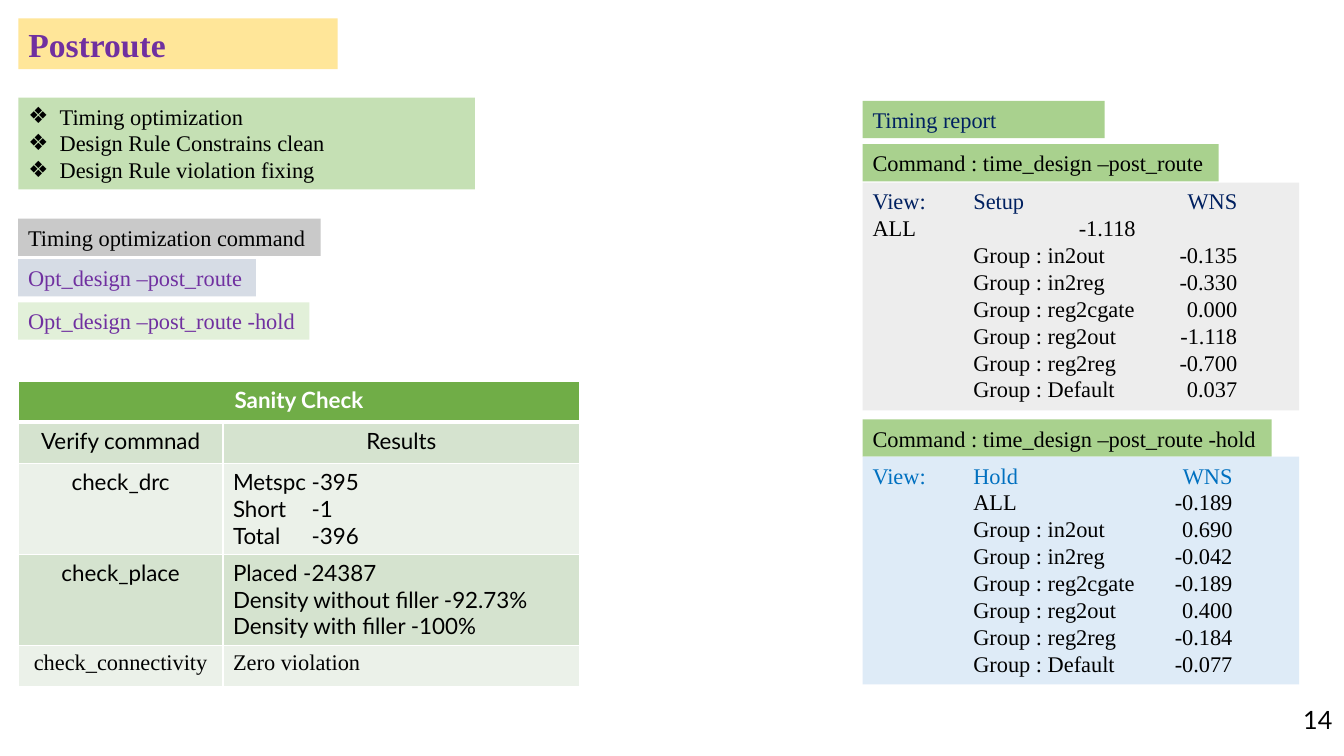
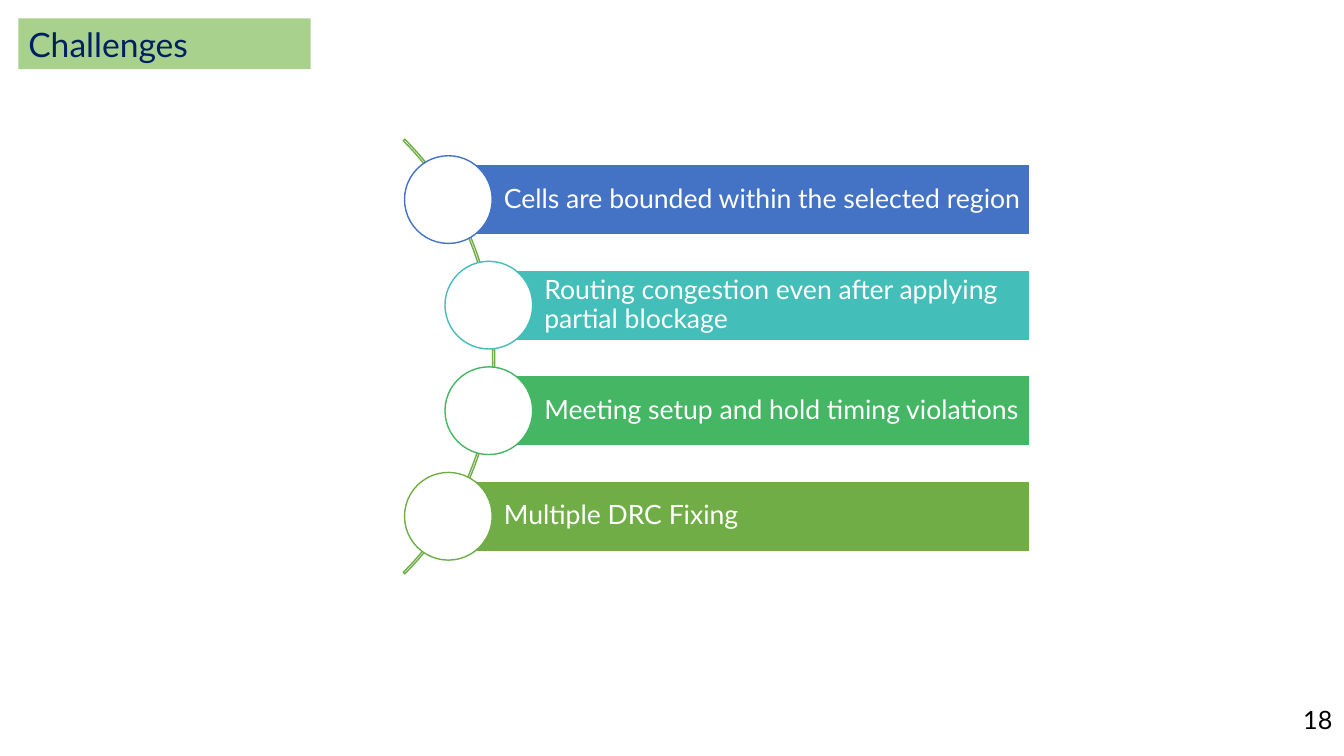
from lxml.etree import SubElement
from pptx import Presentation
from pptx.dml.color import RGBColor
from pptx.enum.shapes import MSO_SHAPE as Shape
from pptx.enum.text import MSO_ANCHOR as Anchor, MSO_AUTO_SIZE as AutoSize, PP_ALIGN as Align
from pptx.oxml.ns import qn
from pptx.util import Cm, Pt

SERIF, SANS = "Times New Roman", "Lato"
TITLE_LAYOUT, LIST_LAYOUT = 5, 1
LEFT, RIGHT = 0.46, 21.74
LABEL_HEIGHT = 0.94
COLOURS = {
    "black": "000000", "white": "FFFFFF", "navy": "002060", "purple": "7030A0",
    "sky": "0070C0", "yellow": "FFE699", "label": "A9D18E", "list": "C5E0B4",
    "grey": "C9C9C9", "slate": "D6DCE5", "mint": "E2F0D9", "setup": "EDEDED",
    "hold": "DEEBF7", "green": "70AD47", "band": "D5E3CF", "pale": "EBF1E9",
    "blue": "4472C4", "teal": "43BEB9", "emerald": "45B664",
}


def rgb(name):
    return RGBColor.from_string(COLOURS[name])


def paint(shape, fill=None, line=None):
    if fill:
        shape.fill.solid()
        shape.fill.fore_color.rgb = rgb(fill)
    else:
        shape.fill.background()
    if line:
        shape.line.color.rgb = rgb(line)
        shape.line.width = Pt(1)
    else:
        shape.line.fill.background()


def style(para, size=16, colour="black", font=SERIF, bold=False,
          align=Align.LEFT, bullet=None, tabs=()):
    props = para._p.get_or_add_pPr()
    if bullet:
        props.set("marL", str(Cm(0.79)))
        props.set("indent", str(-Cm(0.79)))
        SubElement(props, qn("a:buFont"), typeface="Arial")
        SubElement(props, qn("a:buChar"), char=bullet)
    if tabs:
        stops = SubElement(props, qn("a:tabLst"))
        for position, side in tabs:
            SubElement(stops, qn("a:tab"), pos=str(Cm(position)), algn=side)
    para.alignment = align
    para.space_before = Pt(0)
    para.font.size = Pt(size)
    para.font.name = font
    para.font.bold = bold
    para.font.color.rgb = rgb(colour)


def write(frame, text, anchor=Anchor.TOP, right=0, **look):
    frame.word_wrap = True
    frame.auto_size = AutoSize.NONE
    frame.vertical_anchor = anchor
    frame.margin_right = Cm(right)
    frame.text = text
    for para in frame.paragraphs:
        style(para, **look)


class Deck:
    def __init__(self):
        self.deck = Presentation()
        self.deck.slide_width, self.deck.slide_height = Cm(33.87), Cm(19.05)
        self.page = None

    def add_page(self, layout, number, title, width, fill, **look):
        self.page = self.deck.slides.add_slide(self.deck.slide_layouts[layout])
        self.place(self.page.shapes.title, title, LEFT, 0.46, width, 1.28, fill,
                   size=24, anchor=Anchor.MIDDLE, **look)
        box = self.page.shapes.add_textbox(Cm(32.56), Cm(17.63), Cm(1.27), Cm(1.02))
        write(box.text_frame, str(number), right=0.25, size=18, font=SANS,
              align=Align.RIGHT)

    def place(self, holder, text, left, top, width, height, fill, **look):
        holder.left, holder.top = Cm(left), Cm(top)
        holder.width, holder.height = Cm(width), Cm(height)
        paint(holder, fill)
        write(holder.text_frame, text, **look)

    def shape(self, kind, left, top, width, height, fill=None, line=None):
        shape = self.page.shapes.add_shape(kind, Cm(left), Cm(top), Cm(width), Cm(height))
        shape.shadow.inherit = False
        paint(shape, fill, line)
        return shape

    def label(self, text, left, top, width, fill, colour="black"):
        box = self.shape(Shape.RECTANGLE, left, top, width, LABEL_HEIGHT, fill)
        write(box.text_frame, text, anchor=Anchor.MIDDLE, colour=colour)

    def bullets(self, lines, left, top, width, height, fill):
        self.place(self.page.placeholders[1], "\n".join(lines), left, top, width,
                   height, fill, bullet="❖")

    def report(self, rows, top, fill, heading, value_stop, total_stop=6.63):
        box = self.shape(Shape.RECTANGLE, RIGHT, top, 11, 5.74, fill)
        frame = box.text_frame
        write(frame, "\n".join("\t".join(row) for row in rows))
        for row, para in zip(rows, frame.paragraphs):
            full = len(row) == 3
            tabs = [(2.54, "l"), (value_stop, "r")] if full else [(total_stop, "r")]
            style(para, tabs=tabs, colour=heading if row is rows[0] else "black")

    def borders(self, cell, row):
        props = cell._tc.get_or_add_tcPr()
        heavy = {0: "lnB", 1: "lnT"}.get(row)
        for edge in ("lnL", "lnR", "lnT", "lnB"):
            line = SubElement(props, qn("a:" + edge), w=str(Pt(3 if edge == heavy else 1)))
            solid = SubElement(line, qn("a:solidFill"))
            SubElement(solid, qn("a:srgbClr"), val=COLOURS["white"])

    def table(self, rows, left, top, widths, heights):
        frame = self.page.shapes.add_table(len(rows), len(widths), Cm(left), Cm(top),
                                           Cm(sum(widths)), Cm(sum(heights)))
        table = frame.table
        for column, width in zip(table.columns, widths):
            column.width = Cm(width)
        for index, (texts, height) in enumerate(zip(rows, heights)):
            table.rows[index].height = Cm(height)
            header = index == 0
            for column, text in enumerate(texts):
                cell = table.cell(index, column)
                self.borders(cell, index)
                cell.fill.solid()
                cell.fill.fore_color.rgb = rgb(
                    "green" if header else "band" if index % 2 else "pale")
                cell.text = text
                for para in cell.text_frame.paragraphs:
                    style(para, colour="white" if header else "black", bold=header,
                          font=SERIF if index == len(rows) - 1 else SANS,
                          align=Align.CENTER if index < 2 or column == 0 else Align.LEFT,
                          tabs=[(1.98, "l")] if "\t" in para.text else ())
        table.cell(0, 0).merge(table.cell(0, len(widths) - 1))

    def challenge(self, text, left, top, colour, end=25.96, height=1.78, diameter=2.21):
        bar = self.shape(Shape.RECTANGLE, left, top, end - left, height, colour, "white")
        frame = bar.text_frame
        write(frame, text, anchor=Anchor.MIDDLE, right=0.13, size=19,
              colour="white", font=SANS)
        frame.margin_left = Cm(1.4)
        frame.paragraphs[0].line_spacing = 0.9
        self.shape(Shape.OVAL, left - diameter / 2, top + (height - diameter) / 2,
                   diameter, diameter, "white", colour)

    def arc(self, left, top, size, line):
        arc = self.shape(Shape.BLOCK_ARC, left, top, size, size, line=line)
        for index, value in enumerate((189, 27, 0.0035)):
            arc.adjustments[index] = value


def postroute(deck):
    deck.add_page(LIST_LAYOUT, 14, "Postroute", 8.05, "yellow", colour="purple", bold=True)
    deck.bullets(["Timing optimization", "Design Rule Constrains clean",
                  "Design Rule violation fixing"], LEFT, 2.46, 11.51, 2.31, "list")
    deck.label("Timing optimization command", LEFT, 5.51, 7.62, "grey")
    deck.label("Opt_design –post_route", LEFT, 6.53, 5.99, "slate", "purple")
    deck.label("Opt_design –post_route -hold", LEFT, 7.62, 7.34, "mint", "purple")
    deck.table([
        ("Sanity Check", ""),
        ("Verify commnad", "Results"),
        ("check_drc", "Metspc -395\nShort\t-1\nTotal\t-396"),
        ("check_place",
         "Placed -24387\nDensity without filler -92.73%\nDensity with filler -100%"),
        ("check_connectivity", "Zero violation"),
    ], LEFT, 9.6, [5.16, 8.99], [1.04, 1.04, 2.29, 2.29, 1.04])

    deck.label("Timing report", RIGHT, 2.54, 6.1, "label", "navy")
    deck.label("Command : time_design –post_route", RIGHT, 3.63, 8.97, "label")
    deck.label("Command : time_design –post_route -hold", RIGHT, 10.57, 10.31, "label")
    groups = ("in2out", "in2reg", "reg2cgate", "reg2out", "reg2reg", "Default")
    setup = ("-0.135", "-0.330", "0.000", "-1.118", "-0.700", "0.037")
    hold = ("0.690", "-0.042", "-0.189", "0.400", "-0.184", "-0.077")
    setup_rows, hold_rows = (
        [("", f"Group : {group}", slack) for group, slack in zip(groups, slacks)]
        for slacks in (setup, hold))
    deck.report([("View:", "Setup", "WNS"), ("ALL", "-1.118")] + setup_rows,
                4.6, "setup", "navy", 9.19)
    deck.report([("View:", "Hold", "WNS"), ("", "ALL", "-0.189")] + hold_rows,
                11.51, "hold", "sky", 9.07)


def challenges(deck):
    deck.add_page(TITLE_LAYOUT, 18, "Challenges", 7.37, "label", colour="navy", font=SANS)
    deck.arc(-3.02, 1.24, 15.49, "green")
    items = [
        ("Cells are bounded within the selected region", 11.3, "blue"),
        ("Routing congestion even after applying partial blockage", 12.32, "teal"),
        ("Meeting setup and hold timing violations", 12.32, "emerald"),
        ("Multiple DRC Fixing", 11.3, "green"),
    ]
    for index, (text, left, colour) in enumerate(items):
        deck.challenge(text, left, 4.14 + 2.66 * index, colour)


def main():
    deck = Deck()
    postroute(deck)
    challenges(deck)
    deck.deck.save("out.pptx")


if __name__ == "__main__":
    main()
